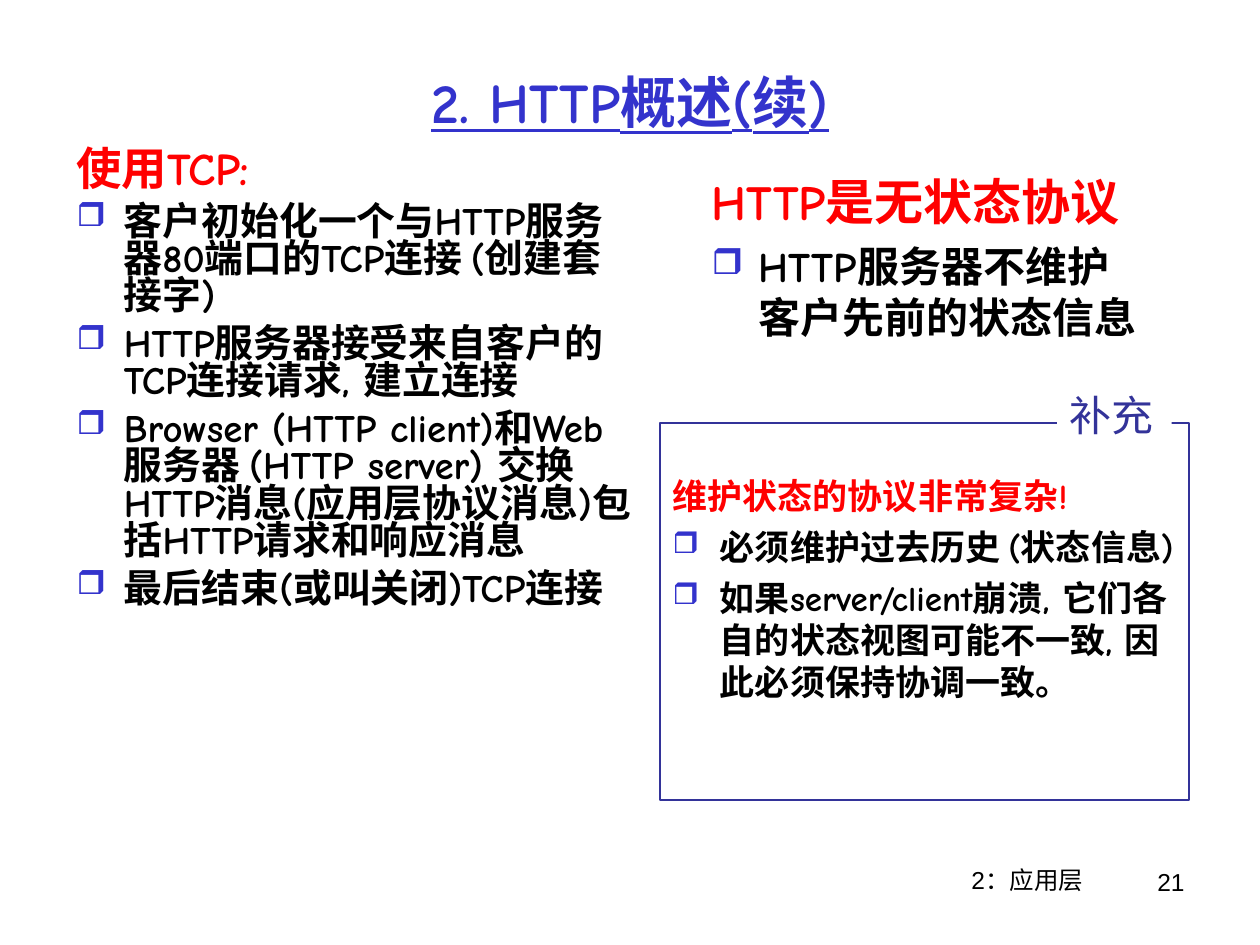
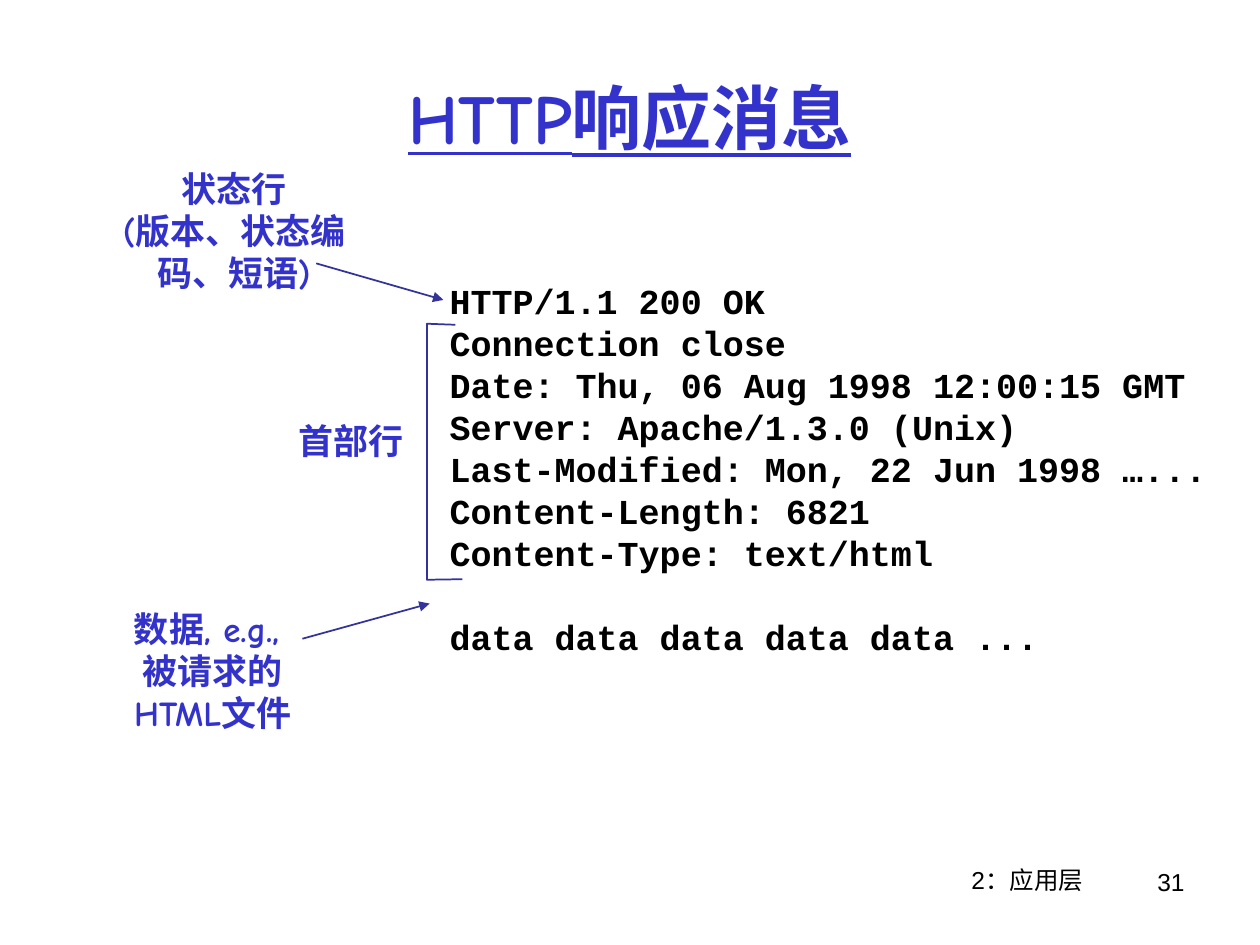
"""Builds two lecture slides on HTTP: its overview and its response message."""
from dataclasses import dataclass

from lxml import etree
from pptx import Presentation
from pptx import util as u
from pptx.dml.color import RGBColor
from pptx.enum import shapes, text
from pptx.oxml import ns

Pt = u.Pt
LEFT, CENTER, RIGHT = text.PP_ALIGN.LEFT, text.PP_ALIGN.CENTER, text.PP_ALIGN.RIGHT


@dataclass(frozen=True)
class Theme:
    heading: str = "Comic Neue"
    plain: str = "Arial"
    code: str = "Courier New"
    blue: RGBColor = RGBColor(0x33, 0x33, 0xCC)
    line: RGBColor = RGBColor(0x33, 0x33, 0x99)
    red: RGBColor = RGBColor(0xFF, 0, 0)
    black: RGBColor = RGBColor(0, 0, 0)
    white: RGBColor = RGBColor(0xFF, 0xFF, 0xFF)
    small: float = 14
    body: float = 20
    label: float = 24
    indent: float = 27
    bullet: str = "❒"


theme = Theme()


def write_text(slide, box, lines, size=theme.body, color=theme.blue, font=theme.heading,
               bold=True, align=LEFT, wrap=True, pitch=None):
    """Places a text box and returns its paragraphs."""
    frame = slide.shapes.add_textbox(*map(Pt, box)).text_frame
    frame.word_wrap = wrap
    frame.text = "\n".join(lines)
    for paragraph in frame.paragraphs:
        paragraph.alignment = align
        paragraph.line_spacing = pitch
        paragraph.font.name, paragraph.font.size = font, Pt(size)
        paragraph.font.bold, paragraph.font.color.rgb = bold, color
    return frame.paragraphs


def write_points(slide, box, heading, points, heading_size, point_size, gap, pitch=None):
    """Places a red heading above a list of bulleted points."""
    paragraphs = write_text(slide, box, [heading, *points], point_size, theme.black, pitch=pitch)
    for paragraph in paragraphs:
        properties = paragraph._p.get_or_add_pPr()
        properties.set("marL", str(Pt(theme.indent)))
        properties.set("indent", str(-Pt(theme.indent)))
    paragraphs[0].font.size, paragraphs[0].font.color.rgb = Pt(heading_size), theme.red
    for point in paragraphs[1:]:
        point.space_before = Pt(gap)
        defaults = point._p.pPr.find(ns.qn("a:defRPr"))
        bullet_color = etree.Element(ns.qn("a:buClr"))
        etree.SubElement(bullet_color, ns.qn("a:srgbClr"), val=str(theme.blue))
        bullet_size = etree.Element(ns.qn("a:buSzPct"), val="85000")
        bullet_sign = etree.Element(ns.qn("a:buChar"), char=theme.bullet)
        for part in (bullet_color, bullet_size, bullet_sign):
            defaults.addprevious(part)


deck = Presentation()
deck.slide_width, deck.slide_height = Pt(720), Pt(540)

pages = []
for heading, size, height, number in (("2. HTTP概述(续)", 32, 72.7, "21"),
                                      ("HTTP响应消息", 40, 90, "31")):
    page = deck.slides.add_slide(deck.slide_layouts[5])
    title = page.shapes.title
    title.left, title.top, title.width, title.height = map(Pt, (36, 21.6, 648, height))
    title.text_frame.text = heading
    title.text_frame.auto_size = text.MSO_AUTO_SIZE.NONE
    title.text_frame.vertical_anchor = text.MSO_ANCHOR.MIDDLE
    title_line = title.text_frame.paragraphs[0]
    title_line.alignment = CENTER
    title_line.font.name, title_line.font.size = theme.heading, Pt(size)
    title_line.font.bold = title_line.font.underline = True
    title_line.font.color.rgb = theme.blue
    for box, words, align in (((473, 491, 228.2, 37.4), "2：应用层", CENTER),
                              ((620.6, 491.8, 63.4, 37.4), number, RIGHT)):
        write_text(page, box, [words], theme.small, theme.black, theme.plain, False, align)
    pages.append(page)
overview, response = pages

for box, edge in (((377.3, 241.9, 302.4, 215.3), theme.line), ((604, 235.4, 65.5, 23), None)):
    panel = overview.shapes.add_shape(shapes.MSO_SHAPE.RECTANGLE, *map(Pt, box))
    panel.shadow.inherit = False
    panel.fill.solid()
    panel.fill.fore_color.rgb = theme.white
    if edge:
        panel.line.color.rgb, panel.line.width = edge, Pt(1)
    else:
        panel.line.fill.background()

write_points(overview, (36.7, 82.8, 331.2, 356.4), "使用TCP:", [
    "客户初始化一个与HTTP服务器80端口的TCP连接 (创建套接字)",
    "HTTP服务器接受来自客户的TCP连接请求, 建立连接",
    "Browser (HTTP client)和Web服务器 (HTTP server) 交换HTTP消息(应用层协议消息)包括HTTP请求和响应消息",
    "最后结束(或叫关闭)TCP连接",
], 25.9, 22.2, gap=6, pitch=0.8)
write_points(overview, (399.6, 94.3, 265, 106.6), "HTTP是无状态协议",
             ["HTTP服务器不维护客户先前的状态信息"], 28, 24, gap=6)
write_points(overview, (377.3, 267.8, 308.2, 178.6), "维护状态的协议非常复杂!", [
    "必须维护过去历史 (状态信息)",
    "如果server/client崩溃, 它们各自的状态视图可能不一致, 因此必须保持协调一致。",
], theme.body, theme.body, gap=5)
write_text(overview, (604, 218.9, 62.6, 36), ["补充"], theme.label, theme.line,
           bold=False, align=CENTER, wrap=False)

message = write_text(response, (249.8, 156.2, 459.4, 223.2), [
    "HTTP/1.1 200 OK",
    "Connection close",
    "Date: Thu, 06 Aug 1998 12:00:15 GMT",
    "Server: Apache/1.3.0 (Unix)",
    "Last-Modified: Mon, 22 Jun 1998 …...",
    "Content-Length: 6821",
    "Content-Type: text/html",
    "data data data data data ...",
], color=theme.black, font=theme.code, pitch=Pt(24))
message[-1].space_before = Pt(24)

for box, lines, align, wrap in (
        ((59, 92.2, 149.8, 79.2), ["状态行", "(版本、状态编码、短语)"], CENTER, True),
        ((162.7, 236.2, 74.9, 31), ["首部行"], RIGHT, False),
        ((66.2, 343.4, 110.9, 79.2), ["数据, e.g., ", "被请求的", "HTML文件"], CENTER, False)):
    write_text(response, box, lines, align=align, wrap=wrap)

for ends in ((180.7, 150.5, 253.4, 171.4), (172.8, 365, 245.5, 344.9)):
    arrow = response.shapes.add_connector(shapes.MSO_CONNECTOR.STRAIGHT, *map(Pt, ends))
    arrow.line.color.rgb, arrow.line.width = theme.line, Pt(1)
    etree.SubElement(arrow.line._get_or_add_ln(), ns.qn("a:tailEnd"), type="triangle")
    etree.SubElement(arrow._element.spPr, ns.qn("a:effectLst"))

outline = response.shapes.build_freeform(Pt(260.2), Pt(185.6))
outline.add_line_segments([(Pt(x), Pt(y)) for x, y in ((244, 185), (244, 331.3), (264.2, 331))],
                          close=False)
bracket = outline.convert_to_shape()
bracket.shadow.inherit = False
bracket.fill.background()
bracket.line.color.rgb, bracket.line.width = theme.line, Pt(1)

deck.save("out.pptx")
